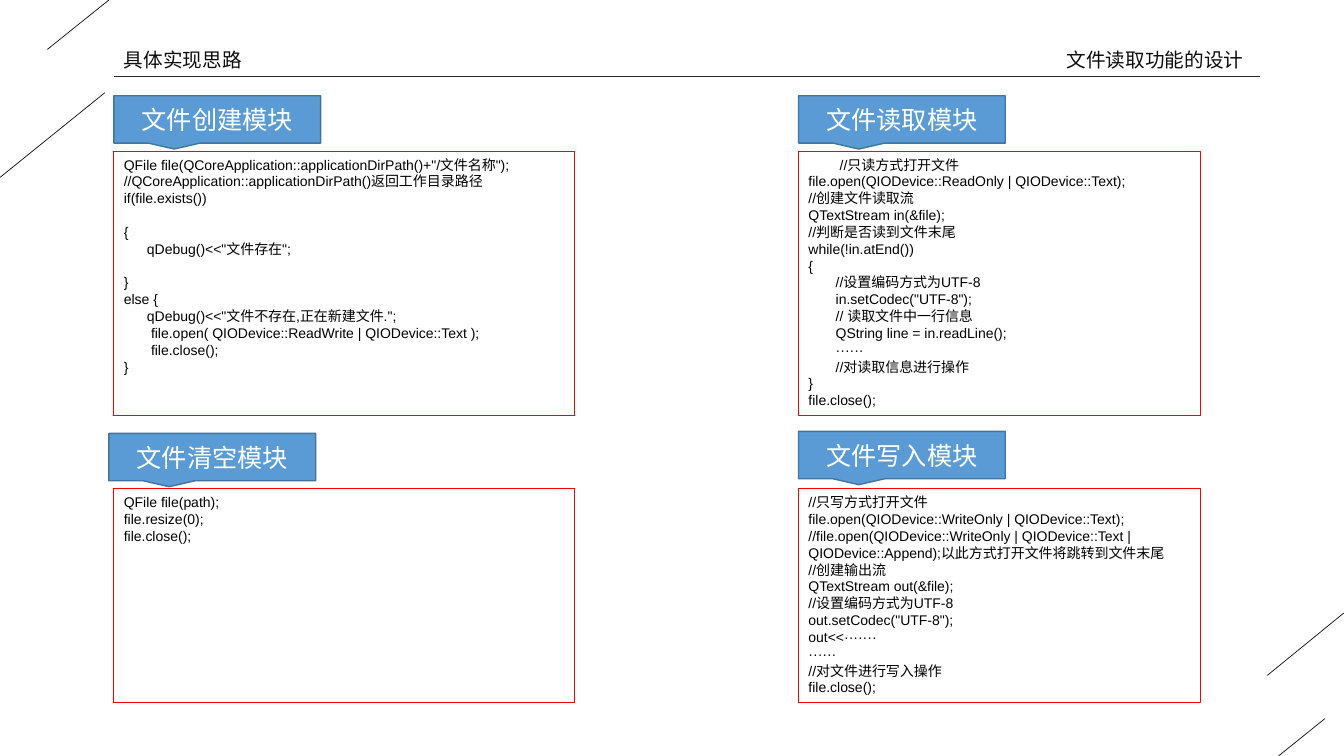
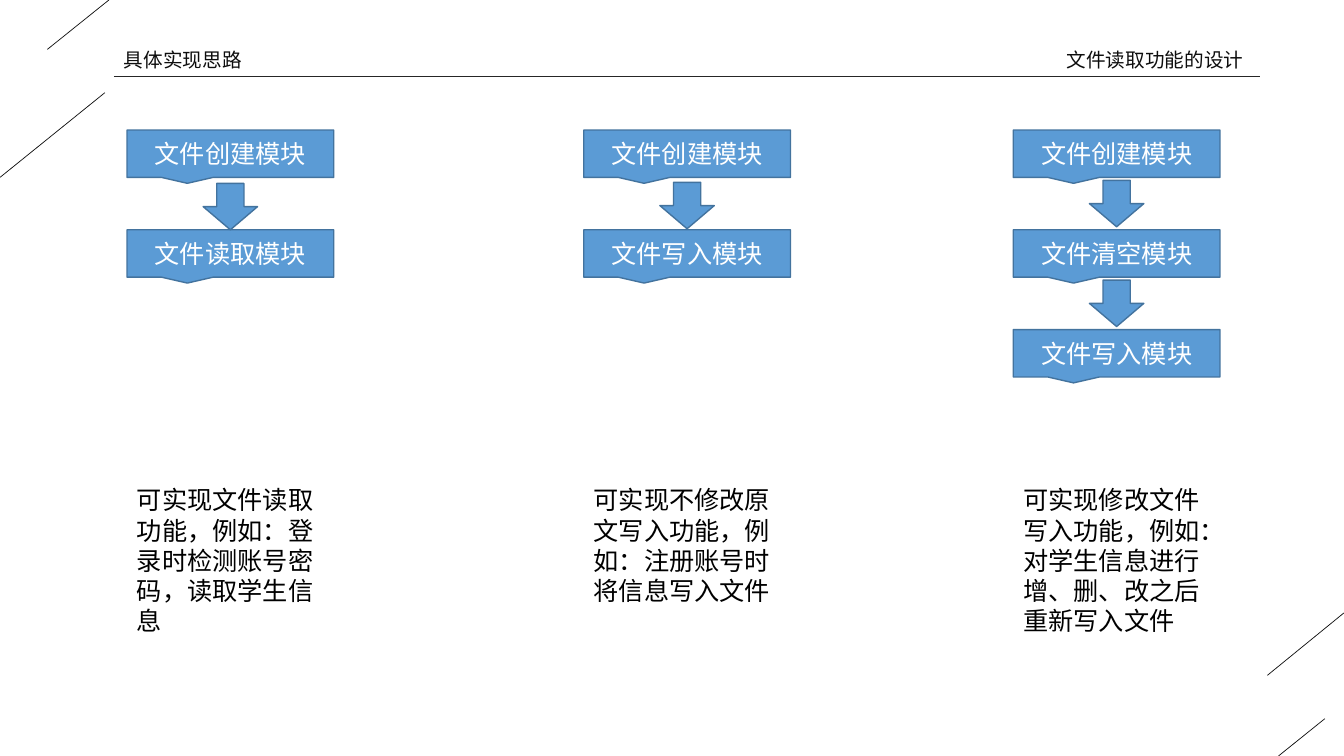
from dataclasses import dataclass
from typing import NamedTuple

from lxml import etree
from pptx import Presentation
from pptx.dml import color
from pptx.enum import shapes, text
from pptx.oxml import ns
from pptx.util import Inches, Pt

LATIN, HAN = "Arial", "Noto Sans CJK SC"
INK, RULE, BLACK, WHITE = "0D0D0D", "262626", "000000", "FFFFFF"
BLUE, EDGE, RED = "5B9BD5", "43739E", "FF0000"
LABEL_W, LABEL_H = 2.05, 0.47
ARROW_W, ARROW_H = 0.54, 0.46
STEP = 0.99  # distance between stacked labels
SLANTS = [
    (1.04, 0.92, 0, 1.76),
    (1.08, 0, 0.47, 0.49),
    (13.14, 7.13, 12.68, 7.5),
    (13.33, 6.08, 12.57, 6.7),
]
MAKE, READ, CLEAR, WRITE = (
    "文件创建模块", "文件读取模块", "文件清空模块", "文件写入模块")


class Row(NamedTuple):
    """A line of text with its indent in inches and the gap above in points."""
    text: str
    dent: float = 0
    gap: float = 0


@dataclass
class Panel:
    title: str
    label: tuple[float, float]
    box: tuple[float, float, float, float]
    rows: list[Row]


@dataclass
class Flow:
    left: float
    steps: list[str]
    arrow: float
    note: str


PANELS = [
    Panel(MAKE, (1.13, 0.95), (1.13, 1.5, 4.57, 2.62), [
        Row('QFile file(QCoreApplication::applicationDirPath()+"/文件名称");'),
        Row("//QCoreApplication::applicationDirPath()返回工作目录路径"),
        Row("if(file.exists())"),
        Row("{", gap=12),
        Row('qDebug()<<"文件存在";', 0.23),
        Row("}", gap=12),
        Row("else {"),
        Row('qDebug()<<"文件不存在,正在新建文件.";', 0.23),
        Row("file.open( QIODevice::ReadWrite | QIODevice::Text );", 0.27),
        Row("file.close();", 0.27),
        Row("}"),
    ]),
    Panel(READ, (7.92, 0.95), (7.92, 1.5, 3.99, 2.62), [
        Row("//只读方式打开文件", 0.31),
        Row("file.open(QIODevice::ReadOnly | QIODevice::Text);"),
        Row("//创建文件读取流"),
        Row("QTextStream in(&file);"),
        Row("//判断是否读到文件末尾"),
        Row("while(!in.atEnd())"),
        Row("{"),
        Row("//设置编码方式为UTF-8", 0.27),
        Row('in.setCodec("UTF-8");', 0.27),
        Row("// 读取文件中一行信息", 0.27),
        Row("QString line = in.readLine();", 0.27),
        Row("······", 0.27),
        Row("//对读取信息进行操作", 0.27),
        Row("}"),
        Row("file.close();"),
    ]),
    Panel(CLEAR, (1.08, 4.3), (1.13, 4.85, 4.57, 2.12), [
        Row("QFile file(path);"),
        Row("file.resize(0);"),
        Row("file.close();"),
    ]),
    Panel(WRITE, (7.92, 4.28), (7.92, 4.85, 3.99, 2.12), [
        Row("//只写方式打开文件"),
        Row("file.open(QIODevice::WriteOnly | QIODevice::Text);"),
        Row("//file.open(QIODevice::WriteOnly | QIODevice::Text | "
            "QIODevice::Append);以此方式打开文件将跳转到文件末尾"),
        Row("//创建输出流"),
        Row("QTextStream out(&file);"),
        Row("//设置编码方式为UTF-8"),
        Row('out.setCodec("UTF-8");'),
        Row("out<<·······"),
        Row("······"),
        Row("//对文件进行写入操作"),
        Row("file.close();"),
    ]),
]
FLOWS = [
    Flow(1.26, [MAKE, READ], 1.82,
         "可实现文件读取功能，例如：登录时检测账号密码，读取学生信息"),
    Flow(5.79, [MAKE, WRITE], 1.81,
         "可实现不修改原文写入功能，例如：注册账号时将信息写入文件"),
    Flow(10.05, [MAKE, CLEAR, WRITE], 1.79,
         "可实现修改文件写入功能，例如：对学生信息进行增、删、改之后重新写入文件"),
]


def paint(form, tone: str) -> None:
    """Give a fill or a font colour a hex colour."""
    if hasattr(form, "solid"):
        form.solid()
        form = form.fore_color
    form.rgb = color.RGBColor.from_string(tone)


def write(shape, rows: list[Row], size: float, tone: str, font: str = LATIN,
          align=text.PP_ALIGN.LEFT, anchor=text.MSO_ANCHOR.TOP) -> None:
    frame = shape.text_frame
    frame.word_wrap = True
    frame.vertical_anchor = anchor
    frame.text = "\n".join(row.text for row in rows)
    for para, row in zip(frame.paragraphs, rows):
        para.alignment = align
        para.space_before = Pt(row.gap)
        if row.dent:
            para._p.get_or_add_pPr().set("marL", str(Inches(row.dent)))
        for run in para.runs:
            run.font.size = Pt(size)
            run.font.name = font
            paint(run.font.color, tone)
            east = etree.SubElement(run._r.get_or_add_rPr(), ns.qn("a:ea"))
            east.set("typeface", HAN)


def line(slide, ends: tuple, tone: str) -> None:
    link = slide.shapes.add_connector(
        shapes.MSO_CONNECTOR.STRAIGHT, *map(Inches, ends))
    paint(link.line.fill, tone)
    link.line.width = Pt(0.5)
    etree.SubElement(link._element.spPr, ns.qn("a:effectLst"))


def form(slide, kind, area: tuple, edge: str, width: float, fill: str = ""):
    """Add a preset shape; without a fill colour it stays clear."""
    shape = slide.shapes.add_shape(kind, *map(Inches, area))
    shape.shadow.inherit = False
    if fill:
        paint(shape.fill, fill)
    else:
        shape.fill.background()
    paint(shape.line.fill, edge)
    shape.line.width = Pt(width)
    return shape


def words(slide, area: tuple, copy: str, size: float, tone: str,
          font: str = LATIN) -> None:
    box = slide.shapes.add_textbox(*map(Inches, area))
    write(box, [Row(copy)], size, tone, font)


def label(slide, left: float, top: float, title: str) -> None:
    shape = form(slide, shapes.MSO_SHAPE.RECTANGULAR_CALLOUT,
                 (left, top, LABEL_W, LABEL_H), EDGE, 1, BLUE)
    write(shape, [Row(title)], 18, WHITE, align=text.PP_ALIGN.CENTER,
          anchor=text.MSO_ANCHOR.MIDDLE)


def base(deck):
    """Add a slide with the slanted lines and the header."""
    slide = deck.slides.add_slide(deck.slide_layouts[6])
    for ends in SLANTS:
        line(slide, ends, INK)
    words(slide, (1.13, 0.43, 1.81, 0.34), "具体实现思路", 14, INK, HAN)
    line(slide, (1.13, 0.76, 12.5, 0.76), RULE)
    words(slide, (10.48, 0.43, 2.09, 0.34), "文件读取功能的设计", 14, INK, HAN)
    return slide


def panel(slide, item: Panel) -> None:
    box = form(slide, shapes.MSO_SHAPE.RECTANGLE, item.box, RED, 0.75)
    write(box, item.rows, 10, BLACK)
    label(slide, *item.label, item.title)


def flow(slide, item: Flow) -> None:
    for i, step in enumerate(item.steps):
        label(slide, item.left, 1.29 + i * STEP, step)
    for i in range(len(item.steps) - 1):
        left = item.left + (LABEL_W - ARROW_W) / 2
        form(slide, shapes.MSO_SHAPE.DOWN_ARROW,
             (left, item.arrow + i * STEP, ARROW_W, ARROW_H), EDGE, 1, BLUE)
    words(slide, (item.left, 4.76, LABEL_W, 1.61), item.note, 18, BLACK)


def main() -> None:
    deck = Presentation()
    deck.slide_width, deck.slide_height = Inches(13.33), Inches(7.5)
    code = base(deck)
    for item in PANELS:
        panel(code, item)
    plan = base(deck)
    for item in FLOWS:
        flow(plan, item)
    deck.save("out.pptx")


if __name__ == "__main__":
    main()
